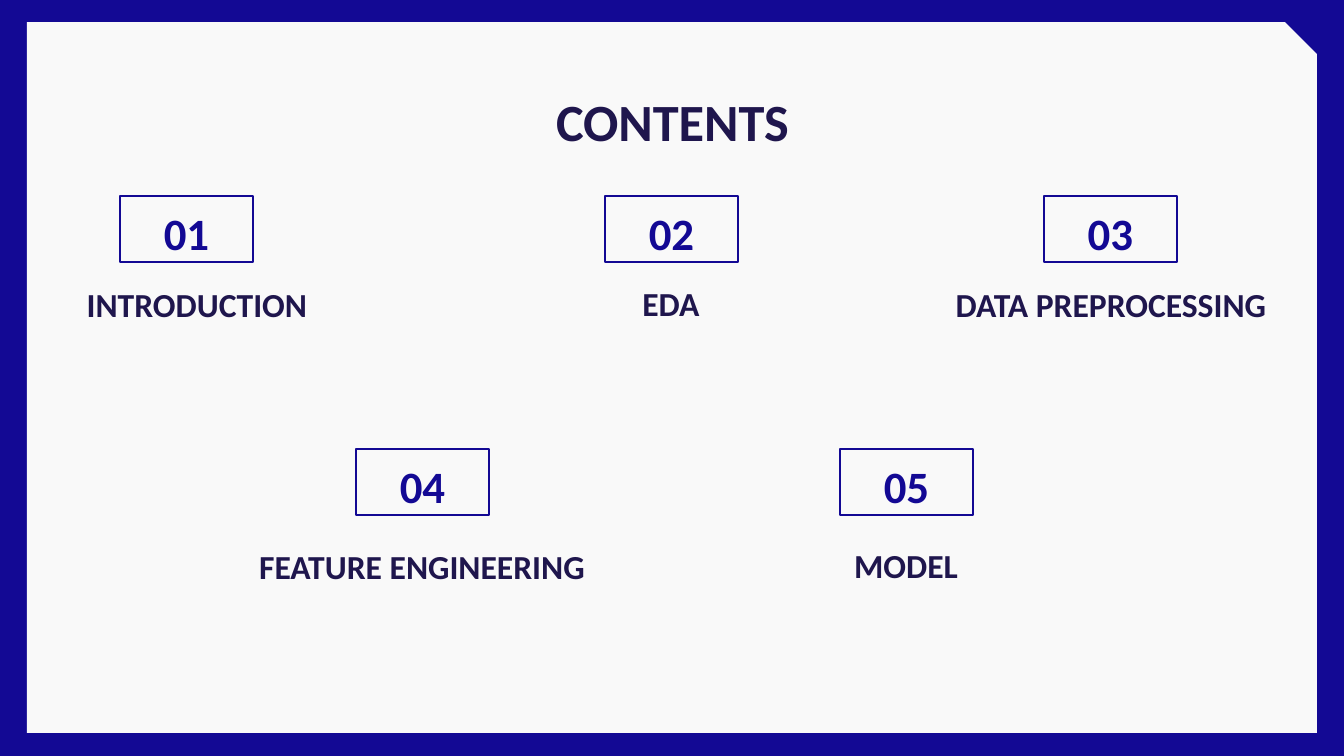
from pptx import Presentation
from pptx.dml.color import RGBColor
from pptx.enum.shapes import MSO_SHAPE
from pptx.enum.text import MSO_ANCHOR, PP_ALIGN
from pptx.util import Emu, Pt

COLORS = {"blue": "130994", "panel": "F9F9F9", "ink": "1F164D"}
SCALE = 914400 / 134.4  # EMU per px


def px(*values):
    return [Emu(round(v * SCALE)) for v in values]


def set_text(sp, text, size, color, anchor, inset):
    tf = sp.text_frame
    tf.word_wrap = True
    tf.vertical_anchor = anchor
    tf.margin_left = tf.margin_right = Pt(7.2)
    tf.margin_top = tf.margin_bottom = Pt(inset)
    p = tf.paragraphs[0]
    p.text = text
    p.alignment = PP_ALIGN.CENTER
    p.line_spacing = 1.15
    font = p.runs[0].font
    font.name = "Calibri"
    font.size = Pt(size)
    font.bold = True
    font.color.rgb = RGBColor.from_string(COLORS[color])


prs = Presentation()
prs.slide_width, prs.slide_height = px(1344, 756)
s = prs.slides.add_slide(prs.slide_layouts[6])

# Blue background and light panel with a cut corner
s.background.fill.solid()
s.background.fill.fore_color.rgb = RGBColor.from_string(COLORS["blue"])
panel = s.shapes.add_shape(MSO_SHAPE.SNIP_1_RECTANGLE, *px(27, 22, 1290, 711))
panel.adjustments[0] = 0.045
panel.shadow.inherit = False
panel.fill.solid()
panel.fill.fore_color.rgb = RGBColor.from_string(COLORS["panel"])
panel.line.fill.background()

# Title
title = s.shapes.add_textbox(*px(106, 66, 1133, 85))
set_text(title, "CONTENTS", 28, "ink", MSO_ANCHOR.TOP, 7.2)

# Sections: label, box left, box top, label centre, label top, label width
sections = [
    ("INTRODUCTION", 120, 196, 197, 271, 345),
    ("EDA", 605, 196, 671, 270, 345),
    ("DATA PREPROCESSING", 1044, 196, 1111, 271, 345),
    ("FEATURE ENGINEERING", 356, 449, 422, 533, 580),
    ("MODEL", 840, 449, 906, 532, 166),
]
for number, (label, left, top, centre, label_top, width) in enumerate(sections, 1):
    # Numbered box
    box = s.shapes.add_shape(MSO_SHAPE.RECTANGLE, *px(left, top, 133, 66))
    box.shadow.inherit = False
    box.fill.background()
    box.line.color.rgb = RGBColor.from_string(COLORS["blue"])
    box.line.width = Pt(0.75)
    set_text(box, f"{number:02}", 24, "blue", MSO_ANCHOR.MIDDLE, 7.2)

    # Section name
    name = s.shapes.add_textbox(*px(centre - width / 2, label_top, width, 56))
    set_text(name, label, 18, "ink", MSO_ANCHOR.TOP, 3.6)

prs.save("out.pptx")
